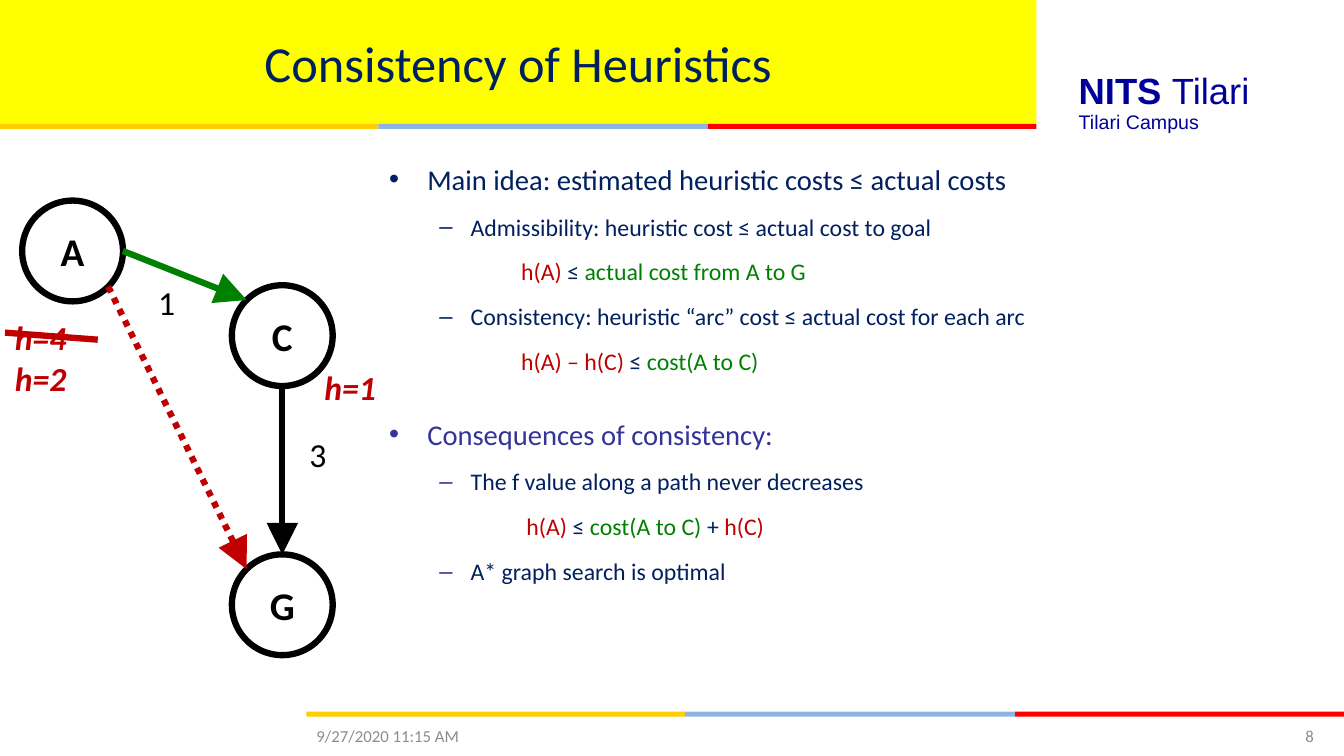
from math import cos, radians, sin

from lxml import etree
from pptx import Presentation
from pptx.dml.color import RGBColor
from pptx.enum.dml import MSO_LINE
from pptx.enum.shapes import MSO_CONNECTOR, MSO_SHAPE
from pptx.enum.text import MSO_ANCHOR, PP_ALIGN
from pptx.oxml.ns import qn
from pptx.util import Inches, Pt

RECT, OVAL = MSO_SHAPE.RECTANGLE, MSO_SHAPE.OVAL
LINE, DOT = MSO_CONNECTOR.STRAIGHT, MSO_LINE.ROUND_DOT
LEFT, MID, RIGHT = PP_ALIGN.LEFT, PP_ALIGN.CENTER, PP_ALIGN.RIGHT
TOP, CENTER = MSO_ANCHOR.TOP, MSO_ANCHOR.MIDDLE

WIDE, HIGH = 13.33, 7.5
HEAD = (0, 0, 10.28, 1.23)
BAND = 0.05
NAVY, BLACK, WHITE = "002060", "000000", "FFFFFF"
CRIMSON, GREEN, INDIGO = "C00000", "008000", "333399"
LOGO, GREY, YELLOW = "000099", "8C8C8C", "FFFF00"
STRIPES = [("FFCE00", 0.365), ("8EB4E3", 0.318), ("FF0000", 0.317)]

MAIN, SUB, MATH = "main", "sub", "math"
LEVELS = {
    MAIN: (20.4, 0.38, -0.38, "•"),
    SUB: (17, 0.81, -0.31, "–"),
    MATH: (17, 1.31, 0, None),
}
POINTS = [
    (MAIN, NAVY, [("Main idea: estimated heuristic costs ≤ actual costs", NAVY)]),
    (SUB, NAVY, [("Admissibility: heuristic cost ≤ actual cost to goal", NAVY)]),
    (MATH, None, [("h(A) ", CRIMSON), ("≤ ", NAVY), ("actual cost from A to G", GREEN)]),
    (SUB, NAVY, [("Consistency: heuristic “arc” cost ≤ actual cost for each arc", NAVY)]),
    (MATH, None, [("h(A) – h(C) ", CRIMSON), ("≤ ", NAVY), ("cost(A to C)", GREEN)]),
    (MAIN, INDIGO, [("Consequences of consistency:", INDIGO)]),
    (SUB, INDIGO, [("The f value along a path never decreases", NAVY)]),
    (MATH, None, [(" h(A) ", CRIMSON), ("≤ ", NAVY), ("cost(A to C) ", GREEN),
                  ("+ ", NAVY), ("h(C)", CRIMSON)]),
    (SUB, INDIGO, [("A* graph search is optimal", NAVY)]),
]


def rgb(code):
    return RGBColor.from_string(code)


def inch(box):
    return [Inches(part) for part in box]


def style(run, size, color, face="Calibri", bold=False, slant=False):
    font = run.font
    font.name, font.size, font.bold, font.italic = face, Pt(size), bold, slant
    font.color.rgb = rgb(color)


def label(slide, box, text, size, color, align=LEFT, anchor=TOP, wrap=True, **look):
    frame = slide.shapes.add_textbox(*inch(box)).text_frame
    frame.word_wrap, frame.vertical_anchor = wrap, anchor
    frame.text = text
    para = frame.paragraphs[0]
    para.alignment = align
    style(para.runs[0], size, color, **look)
    return para


def block(slide, kind, box, fill):
    shape = slide.shapes.add_shape(kind, *inch(box))
    shape.shadow.inherit = False
    shape.fill.solid()
    shape.fill.fore_color.rgb = rgb(fill)
    shape.line.fill.background()
    return shape


def stripe(slide, box):
    x, y, w, h = box
    for color, share in STRIPES:
        block(slide, RECT, (x, y, w * share, h), color)
        x += w * share


def header(slide, box):
    x, y, w, h = box
    title = slide.shapes.title
    title.left, title.top, title.width, title.height = inch(box)
    title.fill.solid()
    title.fill.fore_color.rgb = rgb(YELLOW)
    frame = title.text_frame
    frame.text = "Consistency of Heuristics"
    frame.vertical_anchor = CENTER
    frame.paragraphs[0].alignment = MID
    style(frame.paragraphs[0].runs[0], 36, NAVY)
    stripe(slide, (x, y + h, w, BAND))


def brand(slide, box):
    x, y, w, h = box
    para = label(slide, (x, y, w, 0.54), "NITS ", 26, LOGO, face="Arial", bold=True)
    run = para.add_run()
    run.text = "Tilari"
    style(run, 26, LOGO, face="Arial")
    label(slide, (x, y + h - 0.34, w, 0.34), "Tilari Campus", 14, LOGO, face="Arial")


def bullet(para, level, color):
    size, margin, indent, mark = LEVELS[level]
    props = para._p.get_or_add_pPr()
    props.set("marL", str(Inches(margin)))
    props.set("indent", str(Inches(indent)))
    if mark is None:
        etree.SubElement(props, qn("a:buNone"))
        return
    tint = etree.SubElement(props, qn("a:buClr"))
    etree.SubElement(tint, qn("a:srgbClr"), val=color)
    etree.SubElement(props, qn("a:buFont"), typeface="Arial")
    etree.SubElement(props, qn("a:buChar"), char=mark)


def body(slide, box):
    frame = slide.shapes.add_textbox(*inch(box)).text_frame
    frame.word_wrap = True
    for i, (level, color, parts) in enumerate(POINTS):
        para = frame.add_paragraph() if i else frame.paragraphs[0]
        size = LEVELS[level][0]
        para.line_spacing = 1.4
        gap = 16 if i and level == MAIN else 0
        para.space_before = Pt(0.2 * size + gap)
        bullet(para, level, color)
        for text, tone in parts:
            run = para.add_run()
            run.text = text
            style(run, size, tone)


def arrow(slide, start, end, color, dash=None, head=True):
    link = slide.shapes.add_connector(LINE, *inch(start + end))
    link.line.color.rgb = rgb(color)
    link.line.width = Pt(4.5)
    if dash:
        link.line.dash_style = dash
    if head:
        etree.SubElement(link.line._get_or_add_ln(), qn("a:tailEnd"),
                         type="triangle", w="lg", len="lg")
    etree.SubElement(link._element.spPr, qn("a:effectLst"))


def node(slide, name, spot):
    x, y = spot
    shape = block(slide, OVAL, (x - 0.5, y - 0.5, 1, 1), WHITE)
    shape.line.color.rgb = rgb(BLACK)
    shape.line.width = Pt(4.5)
    frame = shape.text_frame
    frame.text = name
    frame.vertical_anchor = CENTER
    frame.paragraphs[0].alignment = MID
    style(frame.paragraphs[0].runs[0], 28, BLACK, bold=True)


def rim(spot, angle):
    turn = radians(angle)
    return spot[0] + 0.5 * cos(turn), spot[1] + 0.5 * sin(turn)


def graph(slide, box):
    x, y, w, h = box
    a = (x + 0.5, y + 0.5)
    c = (x + w - 0.5, y + 1.34)
    g = (x + w - 0.5, y + h - 0.5)
    arrow(slide, rim(c, 90), rim(g, 270), BLACK)
    for name, spot in (("A", a), ("C", c), ("G", g)):
        node(slide, name, spot)
    arrow(slide, rim(a, 45), rim(g, 225), CRIMSON, DOT)
    arrow(slide, rim(a, 0), rim(c, 225), GREEN)
    for text, dx, dy in (("1", 1.25, 0.76), ("3", 2.75, 2.27)):
        label(slide, (x + dx, y + dy, 0.37, 0.5), text, 24, BLACK, wrap=False)
    for text, dx, dy in (("h=4", -0.17, 1.1), ("h=2", -0.17, 1.51), ("h=1", 2.9, 1.6)):
        label(slide, (x + dx, y + dy, 0.8, 0.5), text, 24, CRIMSON,
              wrap=False, bold=True, slant=True)
    arrow(slide, (x - 0.17, y + 1.31), (x + 0.75, y + 1.38), CRIMSON, head=False)


def footer(slide, box):
    x, y, w, h = box
    stripe(slide, (x, y, w, BAND))
    row = y + h - 0.4
    label(slide, (x, row, 3.11, 0.4), "9/27/2020 11:15 AM", 12, GREY, anchor=CENTER)
    label(slide, (x + w - 1.66, row, 1.46, 0.4), "8", 12, GREY, RIGHT, CENTER)


def main():
    deck = Presentation()
    deck.slide_width, deck.slide_height = Inches(WIDE), Inches(HIGH)
    slide = deck.slides.add_slide(deck.slide_layouts[5])
    header(slide, HEAD)
    brand(slide, (10.6, 0.63, 2.7, 0.75))
    body(slide, (3.76, 1.42, 6.52, 4.93))
    graph(slide, (0.22, 1.99, 3.08, 4.51))
    footer(slide, (3.04, 7.06, WIDE - 3.04, HIGH - 7.06))
    deck.save("out.pptx")


if __name__ == "__main__":
    main()
